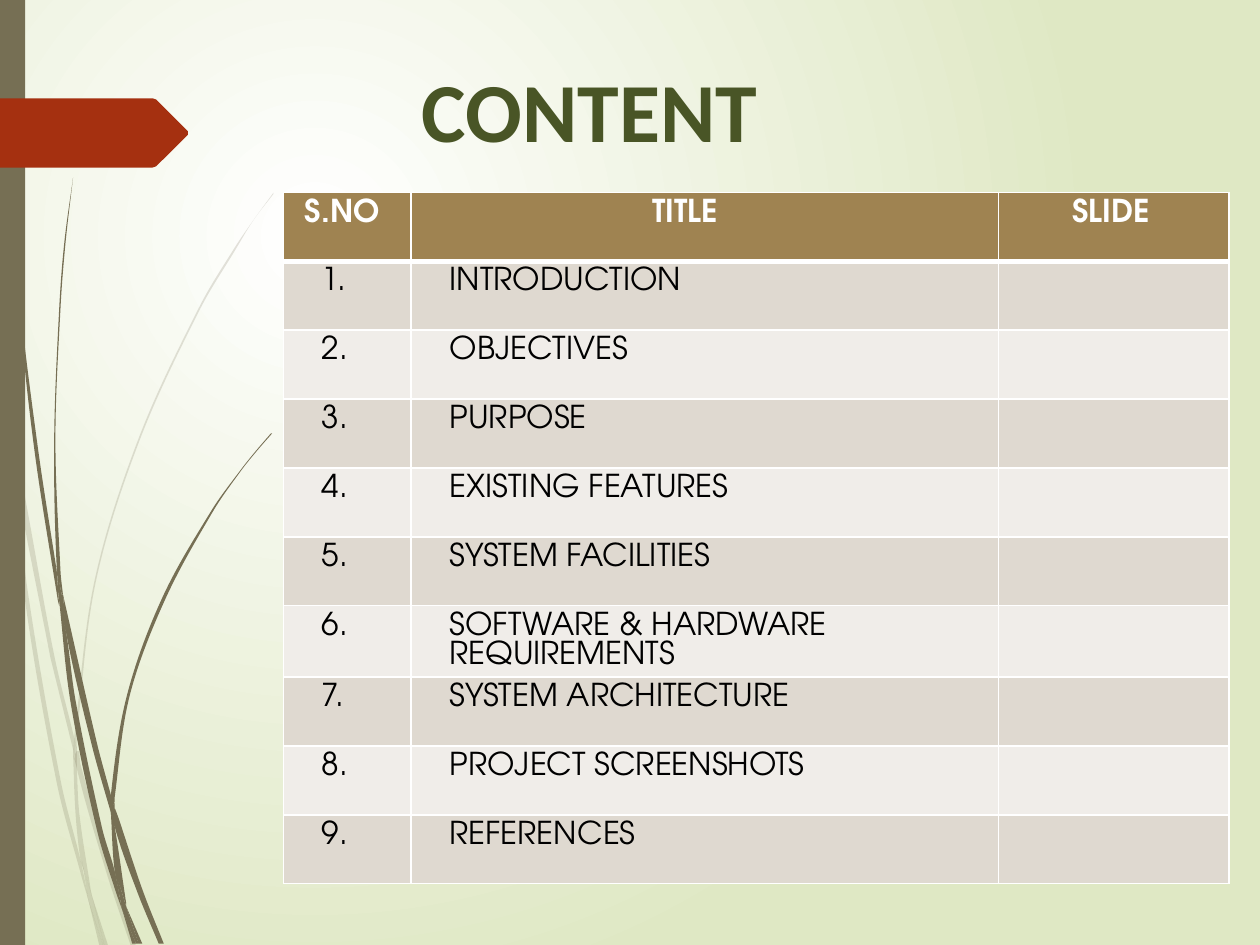
from math import dist
from lxml import etree
from pptx import Presentation
from pptx.dml.color import RGBColor
from pptx.enum.shapes import MSO_SHAPE
from pptx.enum.text import MSO_ANCHOR, MSO_AUTO_SIZE, PP_ALIGN
from pptx.oxml.ns import qn
from pptx.util import Pt

RECT = MSO_SHAPE.RECTANGLE
TOP = MSO_ANCHOR.TOP
NO_FIT = MSO_AUTO_SIZE.NONE
LEFT = PP_ALIGN.LEFT

INCH = 72
FONT = "TeX Gyre Adventor"
C = {"white": "FFFFFF", "pale": "DFE8C4", "grass": "766F54", "tag": "A53010",
     "title": "495526", "head": "9F8351", "odd": "DFD9D0", "even": "F0EDE9",
     "text": "000000"}

COLS = [73, 335.5, 131.7]
ROW_H = 39.37
HEADER = ["S.NO", "TITLE", "SLIDE"]
HEADER_INDENT = [12.2, 137.9, 42.4]
BODY_INDENT = 22
TOPICS = [["INTRODUCTION"], ["OBJECTIVES"], ["PURPOSE"], ["EXISTING FEATURES"],
          ["SYSTEM FACILITIES"], ["SOFTWARE & HARDWARE", "REQUIREMENTS"],
          ["SYSTEM ARCHITECTURE"], ["PROJECT SCREENSHOTS"], ["REFERENCES"]]

# Each blade is two smooth edges, in inches, that meet at the tips.
PALE_BLADES = [
    ([(.08, 3.5), (.06, 3.22), (0, 2.82)], [(0, 2.99), (.07, 3.44), (.08, 3.5)]),
    ([(.4, 5.22), (.59, 5.99)],
     [(.59, 5.86), (.43, 5.2), (.1, 3.45), (.12, 3.76), (.4, 5.22)]),
    ([(.64, 6.07), (.61, 5.96), (.61, 6.1), (.85, 6.94), (1.04, 7.51)],
     [(1.08, 7.51), (.88, 6.92), (.64, 6.07)]),
    ([(.83, 7.51), (.86, 7.51)], [(.73, 7.11), (.83, 7.51)]),
    ([(.08, 3.5), (.19, 4.7), (.45, 6.21), (.64, 6.93), (.7, 7.14)],
     [(.69, 7.07), (.64, 6.83), (.48, 6.19), (.22, 4.69), (.12, 3.76), (.08, 3.5)]),
    ([(.58, 5.99), (.6, 6.46), (.64, 6.83), (.67, 6.92), (.73, 7.11)],
     [(.72, 7.06), (.63, 6.46), (.61, 6.1), (.61, 6.08), (.58, 5.99)]),
    ([(.61, 5.96), (.61, 5.84), (.76, 4.62), (1.11, 3.49), (1.59, 2.45),
      (1.87, 1.98), (2.01, 1.75), (2.17, 1.54)],
     [(2.17, 1.53), (2.01, 1.75), (1.86, 1.97), (1.58, 2.44), (1.1, 3.48),
      (.75, 4.61), (.59, 5.84), (.59, 5.86), (.61, 5.96)]),
    ([(.7, 7.14), (.79, 7.51)], [(.82, 7.51), (.7, 7.14)]),
    ([(.61, 6.08), (.61, 5.96), (.59, 5.86)], [(.58, 5.99), (.61, 6.08)]),
    ([(.65, 6.83), (.69, 7.07), (.7, 7.14), (.82, 7.51)],
     [(.83, 7.51), (.73, 7.11), (.67, 6.92), (.65, 6.83)]),
]
DARK_BLADES = [
    ([(.02, 0), (.03, .48), (.05, 1.1), (.14, 2.33), (.27, 3.55), (.46, 4.77), (.47, 4.81)],
     [(.45, 4.53), (.3, 3.55), (.15, 2.32), (.06, 1.09), (.04, .48), (.03, 0)]),
    ([(.5, 4.72), (.53, 5.05), (.73, 5.92), (.88, 6.45)],
     [(.88, 6.31), (.77, 5.9), (.5, 4.72)]),
    ([(.91, 6.41), (.91, 6.56), (1.09, 7.08), (1.26, 7.49)],
     [(1.3, 7.49), (1.13, 7.06), (.94, 6.49), (.91, 6.41)]),
    ([(.47, 4.77), (.56, 5.57), (.77, 6.59), (.92, 7.08), (.97, 7.22)],
     [(.96, 7.17), (.91, 6.91), (.81, 6.57), (.6, 5.56), (.53, 5.05), (.47, 4.77)]),
    ([(.5, 4.72), (.48, 4.53), (.44, 3.49), (.48, 2.45), (.52, 1.93), (.58, 1.41)],
     [(.58, 1.41), (.51, 1.93), (.47, 2.45), (.43, 3.49), (.45, 4.49), (.49, 4.72)]),
    ([(1, 7.19), (1.1, 7.49)], [(1.13, 7.49), (1, 7.19)]),
    ([(.45, 4.49), (.47, 4.77), (.53, 5.05)], [(.5, 4.72), (.49, 4.72), (.45, 4.49)]),
    ([(.91, 6.41), (.91, 6.33), (1.03, 5.52), (1.31, 4.76), (1.69, 4.06),
      (1.91, 3.74), (2.03, 3.59), (2.16, 3.44)],
     [(2.15, 3.44), (2.03, 3.58), (1.91, 3.73), (1.68, 4.05), (1.29, 4.74),
      (1.01, 5.51), (.88, 6.31), (.91, 6.41)]),
    ([(.97, 7.22), (1.05, 7.49)], [(1.08, 7.49), (.97, 7.22)]),
    ([(.88, 6.45), (.91, 6.91), (.96, 7.06), (1, 7.19)],
     [(1, 7.16), (.91, 6.56), (.88, 6.45)]),
    ([(.88, 6.45), (.91, 6.56), (.91, 6.41)], [(.88, 6.31), (.88, 6.45)]),
    ([(.91, 6.91), (.96, 7.17), (.97, 7.22), (1.08, 7.49)],
     [(1.1, 7.49), (1, 7.19), (.96, 7.06), (.91, 6.91)]),
]
TAG = [(0, .78), (1.21, .78), (1.24, .79), (1.49, 1.04), (1.49, 1.07),
       (1.24, 1.32), (1.21, 1.33), (0, 1.33)]


def rgb(name):
    return RGBColor.from_string(C[name])


def paint(sp, color, alpha=None):
    sp.shadow.inherit = False
    sp.fill.solid()
    sp.fill.fore_color.rgb = rgb(color)
    sp.line.fill.background()
    if alpha:
        clr = sp._element.spPr.find(qn("a:solidFill"))[0]
        etree.SubElement(clr, qn("a:alpha"), val=str(alpha * 1000))


def add_outline(shapes, points, color, alpha=None):
    pts = [(Pt(x * INCH), Pt(y * INCH)) for x, y in points]
    fb = shapes.build_freeform(*pts[0])
    fb.add_line_segments(pts[1:], close=True)
    sp = fb.convert_to_shape()
    paint(sp, color, alpha)
    return sp


def handle(knot, before, after, reach):
    """Control point beside knot, along the direction from before to after."""
    k = reach / (3 * (dist(before, after) or 1))
    return tuple(round(q + (b - a) * k) for q, a, b in zip(knot, before, after))


def curve_edges(sp, *counts):
    """Turn the lines within each edge into cubic curves through the same knots."""
    nodes = list(sp._element.find(".//" + qn("a:path")))[:-1]
    knots = [(int(n[0].get("x")), int(n[0].get("y"))) for n in nodes]
    start = 0
    for count in counts:
        edge = knots[start:start + count]
        ext = [edge[0], *edge, edge[-1]]
        for i in range(1, count):
            a, b, c, d = ext[i - 1:i + 3]
            reach = dist(b, c)
            curve = etree.Element(qn("a:cubicBezTo"))
            for x, y in (handle(b, a, c, reach), handle(c, d, b, reach), c):
                etree.SubElement(curve, qn("a:pt"), x=str(x), y=str(y))
            node = nodes[start + i]
            node.getparent().replace(node, curve)
        start += count


def add_blades(s, blades, alpha=None):
    group = s.shapes.add_group_shape()
    for out, back in blades:
        sp = add_outline(group.shapes, out + back, "grass", alpha)
        curve_edges(sp, len(out), len(back))


def set_background(s):
    fill = s.background.fill
    fill.gradient()
    for stop, color in zip(fill.gradient_stops, ("white", "pale")):
        stop.color.rgb = rgb(color)
    grad = s.background._cSld.find(".//" + qn("a:gradFill"))
    grad.remove(grad.find(qn("a:lin")))
    radial = etree.SubElement(grad, qn("a:path"))
    radial.set("path", "circle")
    etree.SubElement(radial, qn("a:fillToRect"), l="50000", t="50000", r="100000", b="100000")


def add_run(p, text, font, size, color, bold=False):
    r = p.add_run()
    r.text = text
    f = r.font
    f.name, f.size, f.bold = font, Pt(size), bold
    f.color.rgb = rgb(color)


def set_title(s):
    sp = s.shapes.title
    sp.left, sp.top, sp.width, sp.height = Pt(114), Pt(30), Pt(519), Pt(101)
    tf = sp.text_frame
    tf.auto_size, tf.vertical_anchor, tf.margin_left = NO_FIT, TOP, Pt(127)
    p = tf.paragraphs[0]
    p.alignment = LEFT
    add_run(p, "CONTENT", "Calibri", 48, "title", True)


def set_borders(cell, bottom):
    tcPr = cell._tc.get_or_add_tcPr()
    widths = {"lnL": 1, "lnR": 1, "lnT": 1, "lnB": bottom}
    for i, (tag, width) in enumerate(widths.items()):
        ln = etree.Element(qn("a:" + tag), w=str(Pt(width)))
        fill = etree.SubElement(ln, qn("a:solidFill"))
        etree.SubElement(fill, qn("a:srgbClr"), val=C["white"])
        tcPr.insert(i, ln)


def fill_cell(cell, lines, indent, fill, color, header=False):
    cell.fill.solid()
    cell.fill.fore_color.rgb = rgb(fill)
    cell.margin_left, cell.margin_right = Pt(indent), Pt(5.4)
    set_borders(cell, 3 if header else 1)
    tf = cell.text_frame
    for i, line in enumerate(lines):
        p = tf.add_paragraph() if i else tf.paragraphs[0]
        add_run(p, line, FONT, 18, color, header)


def add_contents(s):
    n = len(TOPICS) + 1
    table = s.shapes.add_table(n, len(COLS), Pt(162), Pt(110),
                               Pt(sum(COLS)), Pt(ROW_H * n)).table
    for col, width in zip(table.columns, COLS):
        col.width = Pt(width)
    for row in table.rows:
        row.height = Pt(ROW_H)
    for j, (text, indent) in enumerate(zip(HEADER, HEADER_INDENT)):
        fill_cell(table.cell(0, j), [text], indent, "head", "white", True)
    for i, topic in enumerate(TOPICS, 1):
        for j, lines in enumerate(([f"{i}."], topic, [])):
            fill_cell(table.cell(i, j), lines, BODY_INDENT, "odd" if i % 2 else "even", "text")


def main():
    prs = Presentation()
    prs.slide_width, prs.slide_height = Pt(720), Pt(540)
    s = prs.slides.add_slide(prs.slide_layouts[5])
    set_background(s)
    add_blades(s, PALE_BLADES, 20)
    add_blades(s, DARK_BLADES)
    paint(s.shapes.add_shape(RECT, 0, 0, Pt(14.4), Pt(540)), "grass")
    add_outline(s.shapes, TAG, "tag")
    set_title(s)
    add_contents(s)
    prs.save("out.pptx")


if __name__ == "__main__":
    main()
